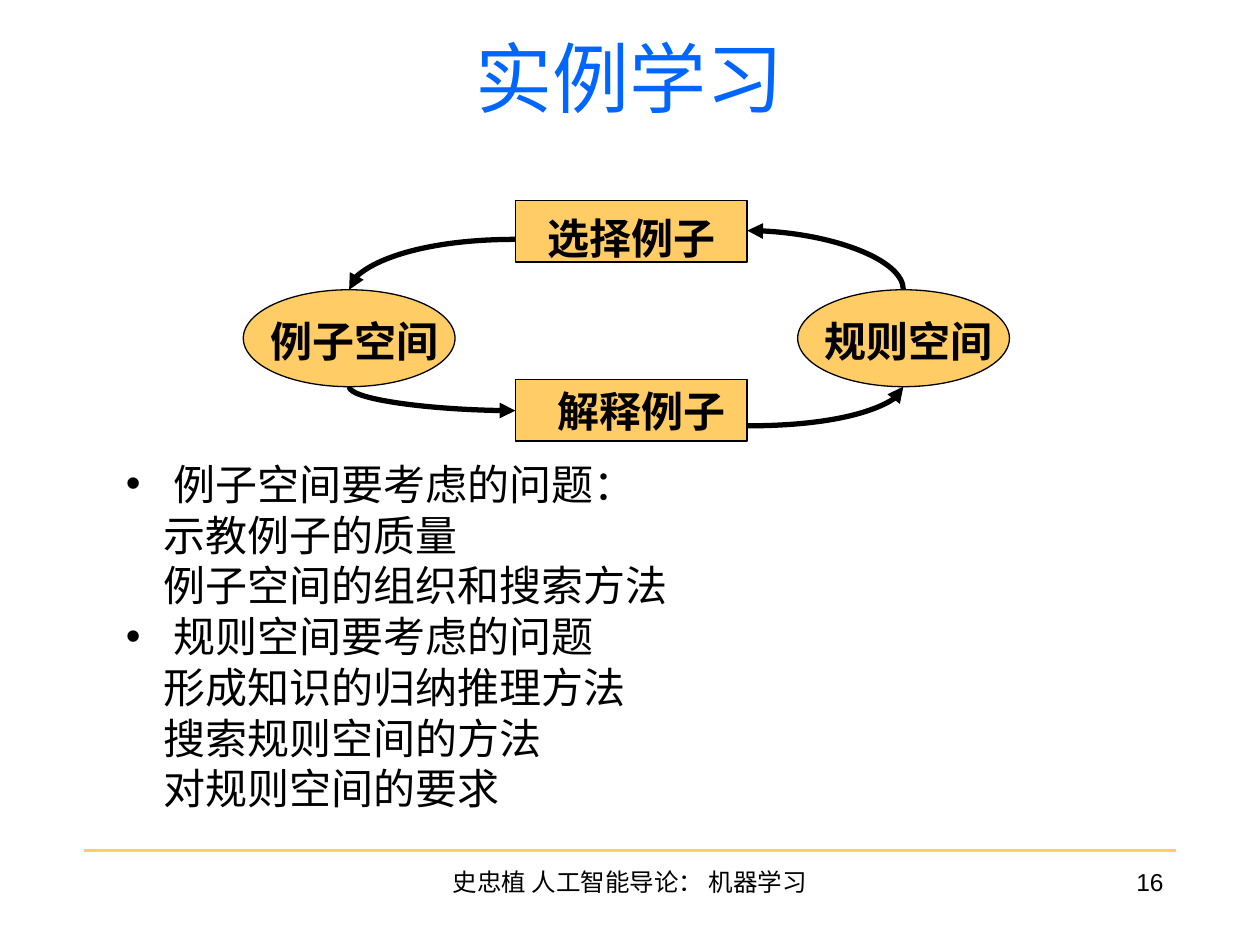
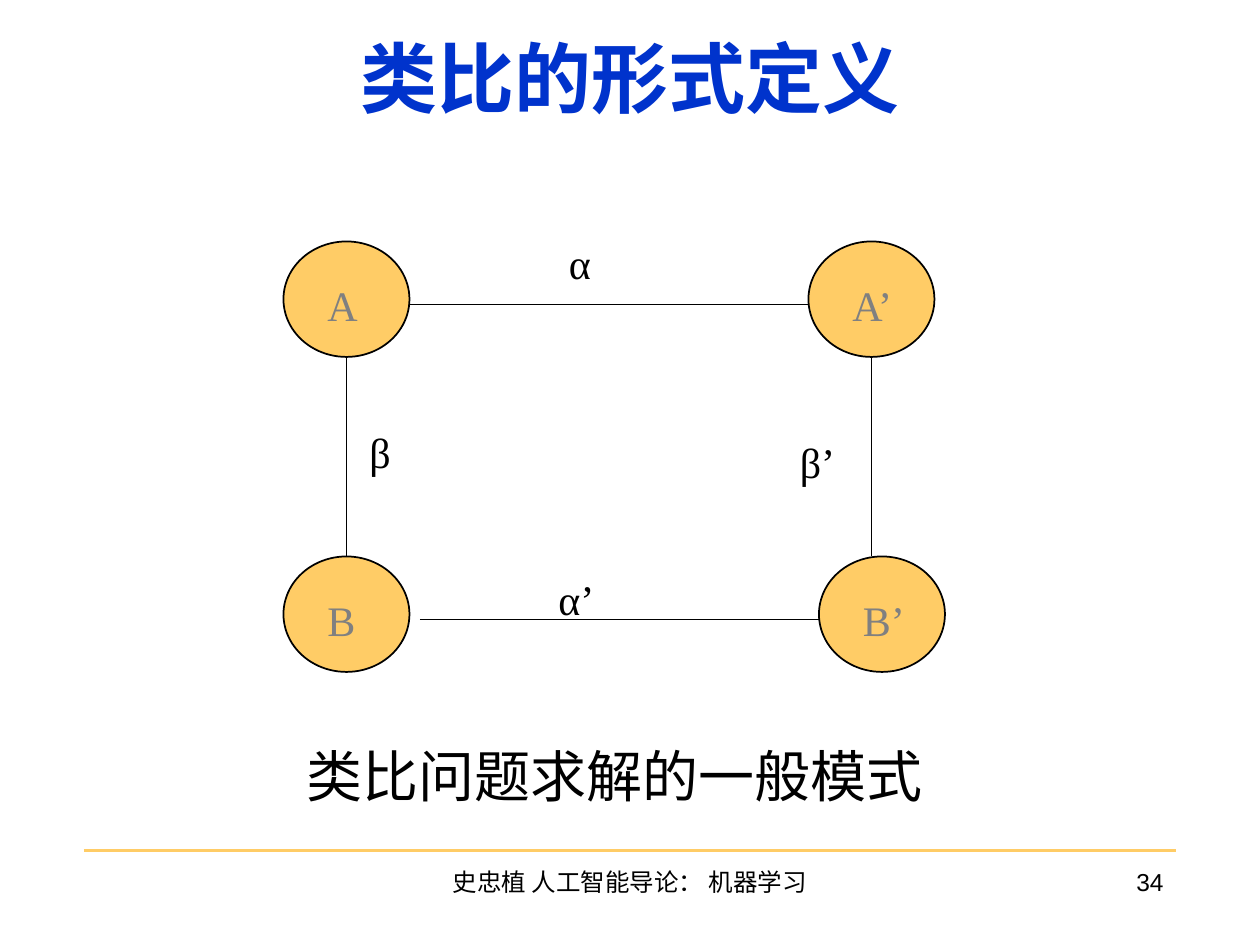
from dataclasses import dataclass

import pptx
import pptx.dml.color
import pptx.enum.shapes
import pptx.enum.text
import pptx.oxml
import pptx.oxml.ns
import pptx.slide
import pptx.util
from pptx.util import Pt

Align = pptx.enum.text.PP_ALIGN
Anchor = pptx.enum.text.MSO_ANCHOR
Preset = pptx.enum.shapes.MSO_SHAPE
Connector = pptx.enum.shapes.MSO_CONNECTOR
Slide = pptx.slide.Slide
Point = tuple[float, float]


@dataclass(frozen=True)
class Theme:
    gold: str = "FFCC66"
    ink: str = "000000"
    grey: str = "808080"
    bright_blue: str = "0066FF"
    deep_blue: str = "0033CC"
    sans: str = "Arial"
    serif: str = "Times New Roman"
    chinese: str = "Noto Sans CJK SC"
    title_size: float = 44
    caption_size: float = 32
    text_size: float = 24
    footer_size: float = 14


THEME = Theme()
FOOTER = "史忠植 人工智能导论： 机器学习"


@dataclass(frozen=True)
class Box:
    left: float
    top: float
    width: float
    height: float

    def lengths(self) -> list[pptx.util.Length]:
        return [Pt(side) for side in (self.left, self.top, self.width, self.height)]


@dataclass(frozen=True)
class Node:
    """A filled shape with its label in a box of its own."""
    text: str
    shape: Box
    label: Box


@dataclass(frozen=True)
class Arrow:
    start: Point
    end: Point
    leaves_upright: bool


@dataclass(frozen=True)
class Topic:
    heading: str
    points: tuple[str, ...]


def rgb(colour: str) -> pptx.dml.color.RGBColor:
    return pptx.dml.color.RGBColor.from_string(colour)


def add_element(parent, tag: str, **attributes: str) -> None:
    element = pptx.oxml.parse_xml(f"<a:{tag} {pptx.oxml.ns.nsdecls('a')}/>")
    for name, value in attributes.items():
        element.set(name, value)
    parent.append(element)


def write(para, text: str, *, size: float = THEME.text_size, font: str = THEME.serif,
          colour: str = THEME.ink, bold: bool = False, align=Align.LEFT) -> None:
    para.alignment = align
    span = para.add_run()
    span.text = text
    span.font.size = Pt(size)
    span.font.bold = bold
    span.font.color.rgb = rgb(colour)
    span.font.name = font
    add_element(span.font._element, "ea", typeface=THEME.chinese)


def add_frame(slide: Slide, box: Box, anchor=Anchor.TOP):
    frame = slide.shapes.add_textbox(*box.lengths()).text_frame
    frame.word_wrap = True
    frame.vertical_anchor = anchor
    return frame


def add_text(slide: Slide, box: Box, text: str, *, anchor=Anchor.TOP, **style) -> None:
    write(add_frame(slide, box, anchor).paragraphs[0], text, **style)


def add_node(slide: Slide, preset, node: Node, line_width: float, **style) -> None:
    shape = slide.shapes.add_shape(preset, *node.shape.lengths())
    shape.shadow.inherit = False
    shape.fill.solid()
    shape.fill.fore_color.rgb = rgb(THEME.gold)
    shape.line.color.rgb = rgb(THEME.ink)
    shape.line.width = Pt(line_width)
    add_text(slide, node.label, node.text, **style)


def add_line(slide: Slide, start: Point, end: Point, *, width: float = 1,
             colour: str = THEME.ink, kind=Connector.STRAIGHT):
    line = slide.shapes.add_connector(kind, *[Pt(place) for place in (*start, *end)])
    line.line.color.rgb = rgb(colour)
    line.line.width = Pt(width)
    add_element(line._element.spPr, "effectLst")
    return line


def add_curved_arrow(slide: Slide, arrow: Arrow) -> None:
    """Draw a quarter bend; one that leaves upright is a level one turned by 270 degrees."""
    start, end = arrow.start, arrow.end
    if arrow.leaves_upright:
        middle_x, middle_y = (start[0] + end[0]) / 2, (start[1] + end[1]) / 2
        half_x, half_y = (end[0] - start[0]) / 2, (end[1] - start[1]) / 2
        start = (middle_x + half_y, middle_y - half_x)
        end = (middle_x - half_y, middle_y + half_x)
    curve = add_line(slide, start, end, width=3, kind=Connector.CURVE)
    properties = curve._element.spPr
    properties.find(pptx.oxml.ns.qn("a:prstGeom")).set("prst", "curvedConnector2")
    if arrow.leaves_upright:
        properties.find(pptx.oxml.ns.qn("a:xfrm")).set("rot", str(270 * 60000))
    add_element(curve.line._get_or_add_ln(), "tailEnd", type="triangle")


def add_topics(slide: Slide, box: Box, topics: list[Topic]) -> None:
    frame = add_frame(slide, box)
    rows = [(text, text == topic.heading)
            for topic in topics for text in (topic.heading, *topic.points)]
    for index, (text, is_heading) in enumerate(rows):
        para = frame.add_paragraph() if index else frame.paragraphs[0]
        para.line_spacing = Pt(23)
        para.space_before = Pt(6 if index else 0)
        properties = para._element.get_or_add_pPr()
        properties.set("marL", str(Pt(27 if is_heading else 21.5)))
        properties.set("indent", str(Pt(-27 if is_heading else 0)))
        if is_heading:
            add_element(properties, "buFont", typeface=THEME.sans)
            add_element(properties, "buChar", char="•")
        write(para, text, font=THEME.chinese)


def add_page(deck, title: str, number: int, **title_style) -> Slide:
    slide = deck.slides.add_slide(deck.slide_layouts[6])
    add_line(slide, (48, 486), (672, 486), width=1.5, colour=THEME.gold)
    add_text(slide, Box(54, 0, 612, 88), title, size=THEME.title_size,
             align=Align.CENTER, anchor=Anchor.MIDDLE, **title_style)
    footer_style = dict(size=THEME.footer_size, font=THEME.sans)
    add_text(slide, Box(246, 492, 228, 36), FOOTER, align=Align.CENTER, **footer_style)
    add_text(slide, Box(522, 492, 150, 36), str(number), align=Align.RIGHT, **footer_style)
    return slide


def build_example_learning(deck) -> None:
    slide = add_page(deck, "实例学习", 16, font=THEME.sans, colour=THEME.bright_blue)
    add_topics(slide, Box(64.8, 264.2, 624, 221), [
        Topic("例子空间要考虑的问题：", ("示教例子的质量", "例子空间的组织和搜索方法")),
        Topic("规则空间要考虑的问题",
              ("形成知识的归纳推理方法", "搜索规则空间的方法", "对规则空间的要求")),
    ])
    label_style = dict(bold=True, align=Align.CENTER)
    for text, left in (("例子空间", 139), ("规则空间", 455.8)):
        space = Node(text, Box(left, 165.6, 121, 55.4), Box(left, 177, 126.7, 36))
        add_node(slide, Preset.OVAL, space, 0.75, **label_style)
    for text, top, shift_x, shift_y in (("选择例子", 114.5, 0, 3.5), ("解释例子", 216.7, 5.7, 0)):
        step = Node(text, Box(294.5, top, 132.5, 35.3),
                    Box(294.5 + shift_x, top + shift_y, 132.5, 36))
        add_node(slide, Preset.RECTANGLE, step, 0.75, **label_style)
    for arrow in (
        Arrow((199.5, 221), (294.5, 234.7), leaves_upright=True),
        Arrow((427, 243.4), (516.2, 221), leaves_upright=False),
        Arrow((516.2, 165.6), (427, 131.8), leaves_upright=True),
        Arrow((294.5, 136.8), (199.5, 165.6), leaves_upright=False),
    ):
        add_curved_arrow(slide, arrow)


def build_analogy(deck) -> None:
    slide = add_page(deck, "类比的形式定义", 34, font=THEME.chinese,
                     colour=THEME.deep_blue, bold=True)
    for text, left, top in (("A", 162, 138), ("B", 162, 318), ("A’", 462, 138), ("B’", 468, 318)):
        node = Node(text, Box(left, top, 72, 66), Box(left + 18, top + 18, 48, 36))
        add_node(slide, Preset.OVAL, node, 1, colour=THEME.grey)
    for start, end in (
        ((234, 174), (462, 174)),
        ((240, 354), (468, 354)),
        ((198, 204), (198, 318)),
        ((498, 204), (498, 318)),
    ):
        add_line(slide, start, end)
    for text, left, top in (("α", 318, 132), ("α’", 312, 324), ("β", 204, 240), ("β’", 450, 246)):
        add_text(slide, Box(left, top, 48, 36), text)
    add_text(slide, Box(168, 420, 384, 46), "类比问题求解的一般模式", size=THEME.caption_size)


def main() -> None:
    deck = pptx.Presentation()
    deck.slide_width, deck.slide_height = Pt(720), Pt(540)
    build_example_learning(deck)
    build_analogy(deck)
    deck.save("out.pptx")


if __name__ == "__main__":
    main()
